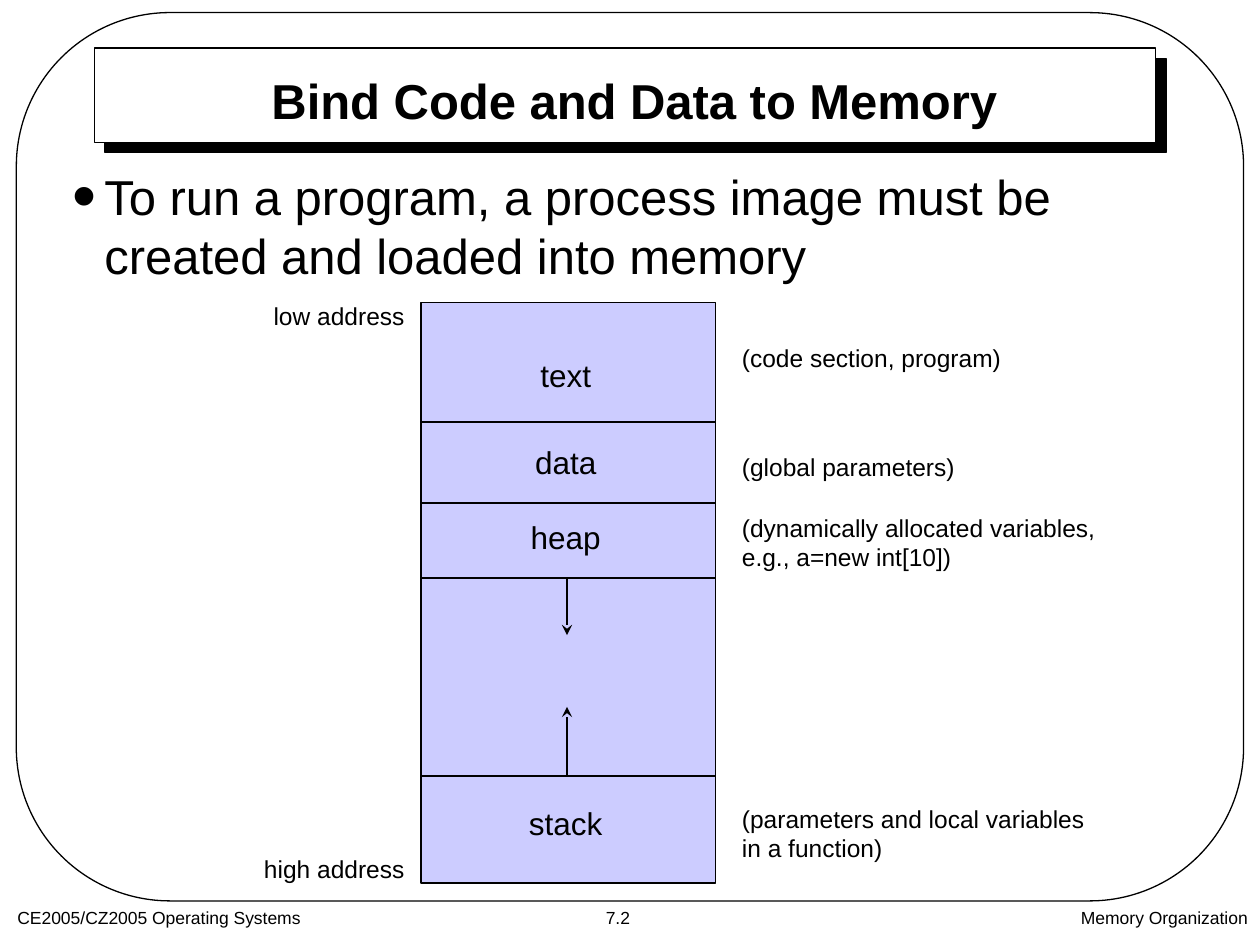
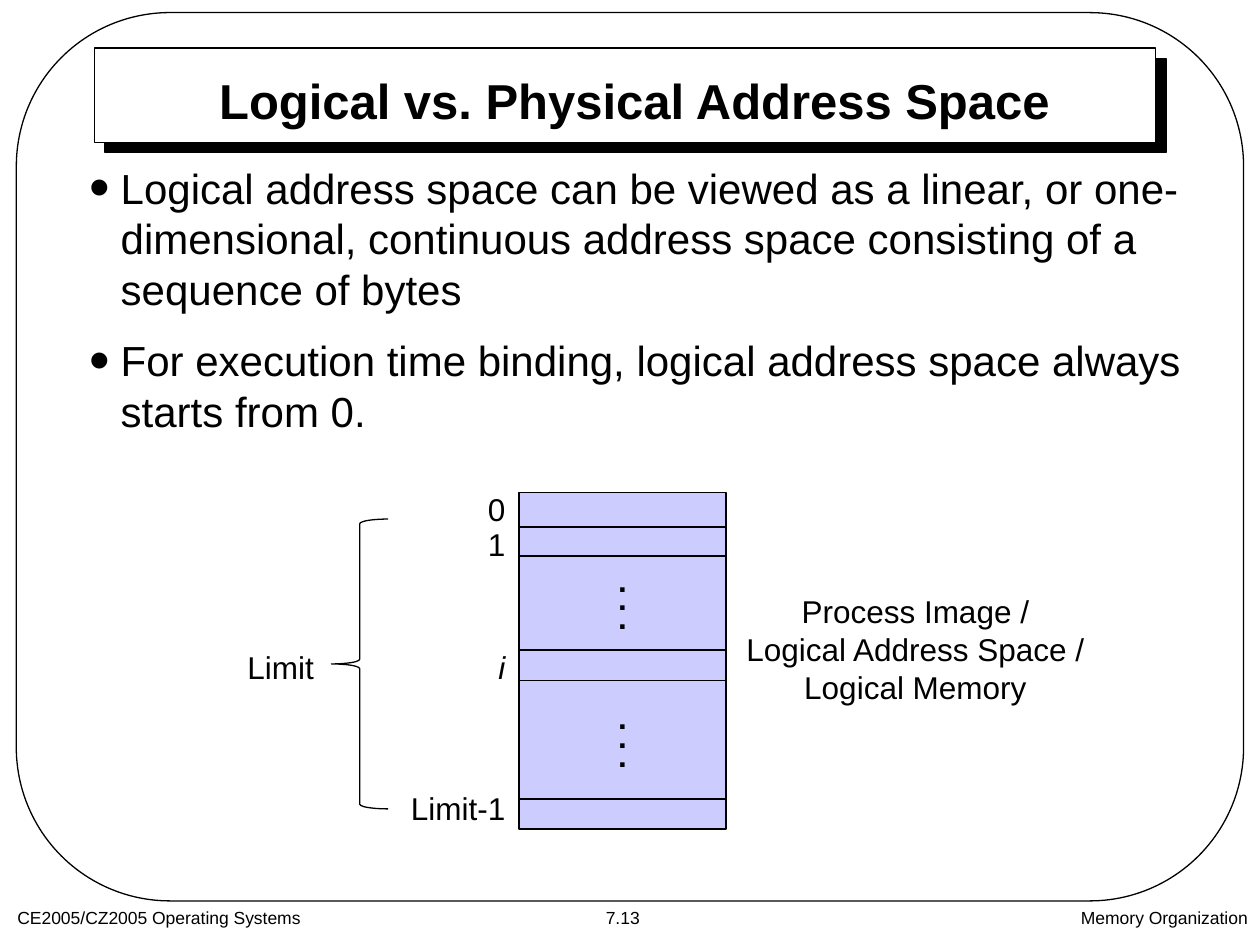
import pptx
import pptx.dml.color
import pptx.enum.shapes
import pptx.enum.text
import pptx.oxml.ns
import pptx.util
from lxml import etree

Inches = pptx.util.Inches
Pt = pptx.util.Pt
SHAPE = pptx.enum.shapes.MSO_SHAPE
ALIGN = pptx.enum.text.PP_ALIGN
ANCHOR = pptx.enum.text.MSO_ANCHOR
FONT = "Arial"
BLACK, WHITE, LAVENDER = "000000", "FFFFFF", "CCCCFF"


def color(value):
    return pptx.dml.color.RGBColor.from_string(value)


def add_element(parent, tag, **attributes):
    return etree.SubElement(parent, pptx.oxml.ns.qn(tag), attributes)


def add_box(slide, kind, box, fill=None, line_width=1):
    shape = slide.shapes.add_shape(kind, *map(Inches, box))
    shape.shadow.inherit = False
    if fill:
        shape.fill.solid()
        shape.fill.fore_color.rgb = color(fill)
    else:
        shape.fill.background()
    shape.line.color.rgb = color(BLACK)
    shape.line.width = Pt(line_width)
    return shape


def add_line(slide, start, end, arrow=False):
    connector = slide.shapes.add_connector(
        pptx.enum.shapes.MSO_CONNECTOR.STRAIGHT, *map(Inches, (*start, *end)))
    connector.line.color.rgb = color(BLACK)
    connector.line.width = Pt(1)
    if arrow:
        add_element(connector.line._get_or_add_ln(), "a:tailEnd", type="stealth")
    add_element(connector._element.spPr, "a:effectLst")


def add_text(slide, box, lines, size, align=ALIGN.LEFT, bold=False, italic=False,
             anchor=ANCHOR.TOP, spacing=None, bullet=False, gap=0):
    frame = slide.shapes.add_textbox(*map(Inches, box)).text_frame
    frame.word_wrap = True
    frame.vertical_anchor = anchor
    for index, line in enumerate(lines):
        paragraph = frame.add_paragraph() if index else frame.paragraphs[0]
        paragraph.alignment = align
        if spacing:
            paragraph.line_spacing = spacing
        if index and gap:
            paragraph.space_before = Pt(gap)
        if bullet:
            properties = paragraph._p.get_or_add_pPr()
            properties.set("marL", str(Inches(0.25)))
            properties.set("indent", str(-Inches(0.25)))
            add_element(properties, "a:buSzPct", val="140000")
            add_element(properties, "a:buFont", typeface=FONT)
            add_element(properties, "a:buChar", char="•")
        run = paragraph.add_run()
        run.text = line
        run.font.name = FONT
        run.font.size = Pt(size)
        run.font.bold = bold
        run.font.italic = italic
        run.font.color.rgb = color(BLACK)


def add_title_banner(slide, box, title):
    left, top, width, height = box
    banner = add_box(slide, SHAPE.RECTANGLE, box, WHITE, 0.75)
    effects = banner._element.spPr.find(pptx.oxml.ns.qn("a:effectLst"))
    shadow = add_element(effects, "a:outerShdw", dist=str(Pt(8.5)),
                         dir="2700000", algn="ctr", rotWithShape="0")
    add_element(shadow, "a:srgbClr", val=BLACK)
    add_text(slide, (left + 0.52, top + 0.16, width - 0.89, 0.5), [title], 28,
             ALIGN.CENTER, bold=True, anchor=ANCHOR.MIDDLE)


def add_footer(slide, box, number):
    left, top, width, height = box
    add_text(slide, (left, top, 4.46, height), ["CE2005/CZ2005 Operating Systems"], 10)
    add_text(slide, (left + 4.67, top, 0.8, height), [number], 10)
    add_text(slide, (left + width - 3.17, top, 3.17, height),
             ["Memory Organization"], 10, ALIGN.RIGHT)


def add_framed_slide(presentation, title, number):
    slide = presentation.slides.add_slide(presentation.slide_layouts[6])
    add_title_banner(slide, (0.75, 0.38, 8.42, 0.75), title)
    frame = add_box(slide, SHAPE.ROUNDED_RECTANGLE, (0.13, 0.1, 9.74, 7.05),
                    line_width=0.75)
    frame.adjustments[0] = 0.173
    add_footer(slide, (0.04, 7.15, 9.96, 0.35), number)
    return slide


def add_memory_block(slide, box, dividers):
    left, top, width, height = box
    add_box(slide, SHAPE.RECTANGLE, box, LAVENDER)
    for divider in dividers:
        add_line(slide, (left, top + divider), (left + width, top + divider))


def add_process_image(slide, box):
    left, top, width, height = box
    heap_end, stack_start = 2.19, 3.76
    add_memory_block(slide, box, (0.95, 1.59, heap_end, stack_start))
    for name, offset in (("text", 0.38), ("data", 1.07), ("heap", 1.66), ("stack", 3.93)):
        add_text(slide, (left - 0.02, top + offset, width, 0.4), [name], 18, ALIGN.CENTER)
    middle = left + 1.16
    for start, end in ((heap_end, 2.64), (stack_start, 3.21)):
        add_line(slide, (middle, top + start), (middle, top + end), arrow=True)
    for label, offset in (("low address", -0.06), ("high address", 4.33)):
        add_text(slide, (left - 1.53, top + offset, 1.5, 0.34), [label], 14, ALIGN.RIGHT)
    section_notes = (
        (0.27, ["(code section, program)"]),
        (1.14, ["(global parameters)"]),
        (1.62, ["(dynamically allocated variables,", "e.g., a=new int[10])"]),
        (3.93, ["(parameters and local variables", "in a function)"]),
    )
    for offset, lines in section_notes:
        add_text(slide, (left + width + 0.11, top + offset, 3.5, 0.57), lines, 14)


def add_address_space(slide, box):
    left, top, width, height = box
    add_memory_block(slide, box, (0.27, 0.5, 1.25, 1.49, 2.43))
    for offset in (0.62, 1.71):
        add_text(slide, (left + 0.52, top + offset, 0.6, 0.56), ["."] * 3, 18,
                 ALIGN.CENTER, bold=True, spacing=0.5)
    for address, offset in (("0", -0.07), ("1", 0.21), ("i", 1.18), ("Limit-1", 2.3)):
        add_text(slide, (left - 1.21, top + offset, 1.2, 0.4), [address], 18,
                 ALIGN.RIGHT, italic=address == "i")
    brace = add_box(slide, SHAPE.LEFT_BRACE, (left - 1.49, top + 0.21, 0.45, 2.3),
                    WHITE, 0.75)
    brace.adjustments[0] = 0.083
    add_text(slide, (left - 2.53, top + 1.18, 1, 0.4), ["Limit"], 18, ALIGN.RIGHT)
    add_text(slide, (left + width + 0.05, top + 0.74, 2.91, 1.01),
             ["Process Image /", "Logical Address Space /", "Logical Memory"], 18,
             ALIGN.CENTER)


def build_binding_slide(presentation):
    slide = add_framed_slide(presentation, "Bind Code and Data to Memory", "7.2")
    add_text(slide, (0.48, 1.27, 8.73, 1.1),
             ["To run a program, a process image must be created and loaded into memory"],
             28, bullet=True)
    add_process_image(slide, (3.34, 2.4, 2.34, 4.61))


def build_address_slide(presentation):
    slide = add_framed_slide(presentation, "Logical vs. Physical Address Space", "7.13")
    add_text(slide, (0.61, 1.24, 8.89, 2.4),
             ["Logical address space can be viewed as a linear, or one-dimensional, "
              "continuous address space consisting of a sequence of bytes",
              "For execution time binding, logical address space always starts from 0."],
             24, bullet=True, gap=12)
    add_address_space(slide, (4.12, 3.91, 1.64, 2.67))


def main():
    presentation = pptx.Presentation()
    presentation.slide_width = Inches(10)
    presentation.slide_height = Inches(7.5)
    build_binding_slide(presentation)
    build_address_slide(presentation)
    presentation.save("out.pptx")


if __name__ == "__main__":
    main()
